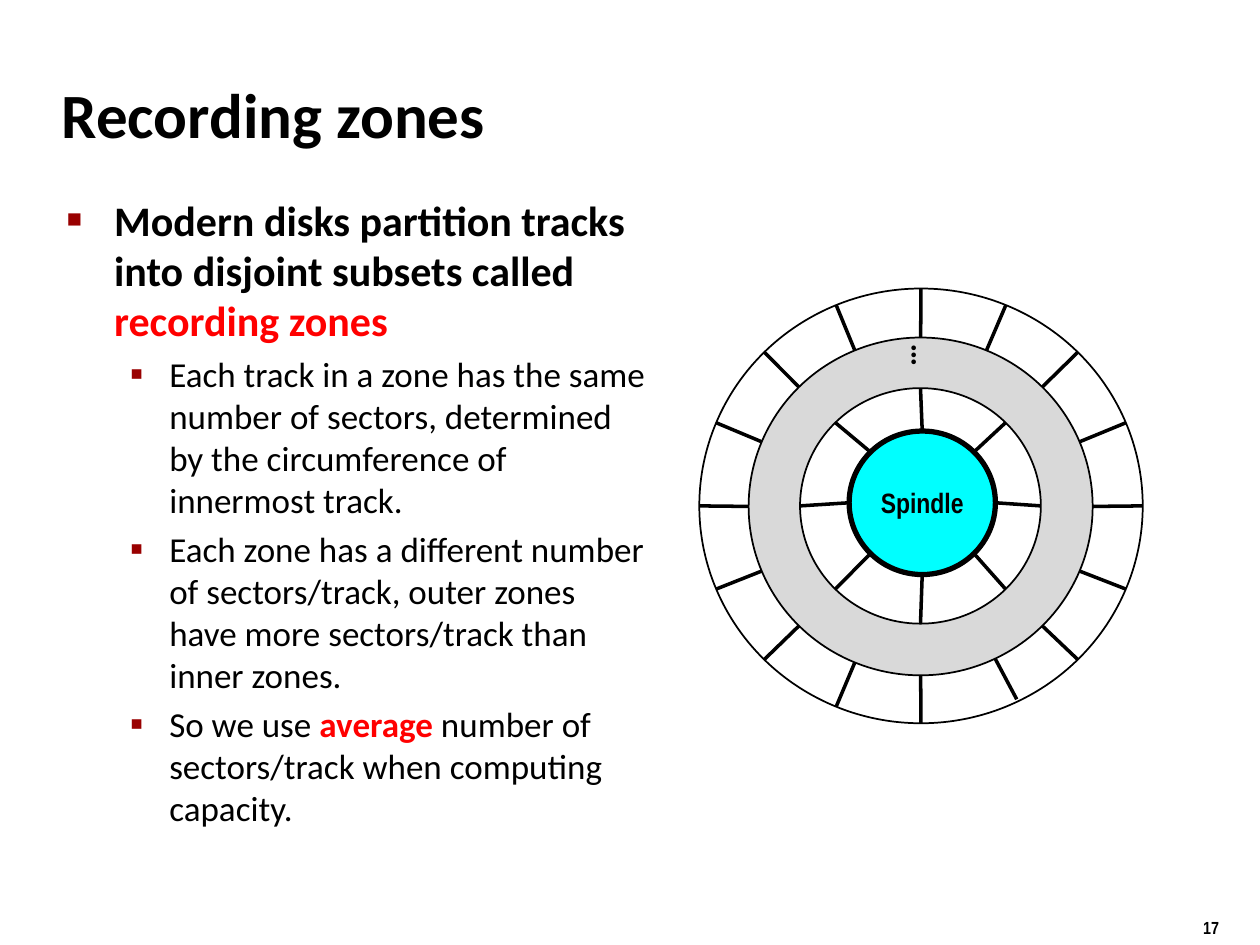
from math import cos, pi, sin

from lxml import etree
from pptx import Presentation
from pptx.dml.color import RGBColor
from pptx.enum.shapes import MSO_CONNECTOR, MSO_SHAPE
from pptx.enum.text import MSO_ANCHOR, MSO_AUTO_SIZE, PP_ALIGN
from pptx.oxml.ns import qn
from pptx.util import Pt

OVAL = MSO_SHAPE.OVAL
STRAIGHT = MSO_CONNECTOR.STRAIGHT
MIDDLE, TOP = MSO_ANCHOR.MIDDLE, MSO_ANCHOR.TOP
LEFT, CENTER = PP_ALIGN.LEFT, PP_ALIGN.CENTER
NO_FIT = MSO_AUTO_SIZE.NONE

BLACK = RGBColor(0x00, 0x00, 0x00)
WHITE = RGBColor(0xFF, 0xFF, 0xFF)
RED = RGBColor(0xFF, 0x00, 0x00)
MAROON = RGBColor(0x99, 0x00, 0x00)
GRAY = RGBColor(0xD9, 0xD9, 0xD9)
CYAN = RGBColor(0x00, 0xFF, 0xFF)

# Ellipses as (centre x, centre y, x radius, y radius)
OUTER_EDGE = (526.3, 289.1, 126.7, 124.2)
MIDDLE_ZONE = (526.1, 289.4, 98.3, 96.5)
INNER_ZONE = (526, 289.1, 68.8, 67.3)
SPINDLE = (527, 287.3, 41.8, 41)

# Per level: left margin, hanging indent, space before, bullet, bullet size %
LEVELS = [(27, 27, 4.8, "■", 60), (58.5, 22.5, 4, "▪", 110)]


def rim_point(ellipse, angle):
    cx, cy, rx, ry = ellipse
    return cx + rx * cos(angle), cy + ry * sin(angle)


class Deck:
    body_font, label_font = "Calibri", "Arial Narrow"

    def __init__(self, prs):
        self.s = prs.slides.add_slide(prs.slide_layouts[1])

    def run(self, p, text, size, font=body_font, color=BLACK, bold=True):
        r = p.add_run()
        r.text = text
        r.font.name, r.font.size = font, Pt(size)
        r.font.bold, r.font.color.rgb = bold, color

    def place(self, sp, left, top, width, height, anchor):
        sp.left, sp.top = Pt(left), Pt(top)
        sp.width, sp.height = Pt(width), Pt(height)
        tf = sp.text_frame
        tf.auto_size, tf.word_wrap = NO_FIT, True
        tf.vertical_anchor = anchor
        return tf

    def title(self, text, *box):
        p = self.place(self.s.shapes.title, *box, MIDDLE).paragraphs[0]
        p.alignment = LEFT
        self.run(p, text, 36)

    def bullets(self, items, *box):
        tf = self.place(self.s.placeholders[1], *box, TOP)
        for i, (level, runs) in enumerate(items):
            p = tf.add_paragraph() if i else tf.paragraphs[0]
            margin, hang, before, char, percent = LEVELS[level]
            p.level, p.space_before = level, Pt(before)
            pPr = p._p.get_or_add_pPr()
            pPr.set("marL", str(Pt(margin)))
            pPr.set("indent", str(-Pt(hang)))
            color = etree.SubElement(pPr, qn("a:buClr"))
            etree.SubElement(color, qn("a:srgbClr"), val=str(MAROON))
            etree.SubElement(pPr, qn("a:buSzPct"), val=str(percent * 1000))
            etree.SubElement(pPr, qn("a:buFont"), typeface="Arial")
            etree.SubElement(pPr, qn("a:buChar"), char=char)
            for text, color, bold in runs:
                self.run(p, text, 20 if level else 24, color=color, bold=bold)

    def oval(self, ellipse, fill=None, weight=1):
        cx, cy, rx, ry = ellipse
        sp = self.s.shapes.add_shape(
            OVAL, Pt(cx - rx), Pt(cy - ry), Pt(2 * rx), Pt(2 * ry))
        sp.shadow.inherit = False
        if fill is None:
            sp.fill.background()
        else:
            sp.fill.solid()
            sp.fill.fore_color.rgb = fill
        sp.line.color.rgb, sp.line.width = BLACK, Pt(weight)
        return sp

    def label(self, sp, text, size):
        tf = sp.text_frame
        tf.word_wrap, tf.vertical_anchor = False, MIDDLE
        p = tf.paragraphs[0]
        p.alignment = CENTER
        self.run(p, text, size, self.label_font)

    def text(self, text, size, font, *box):
        sp = self.s.shapes.add_textbox(0, 0, 0, 0)
        tf = self.place(sp, *box, TOP)
        self.run(tf.paragraphs[0], text, size, font)
        return tf

    def line(self, start, end):
        c = self.s.shapes.add_connector(
            STRAIGHT, *(Pt(v) for v in (*start, *end)))
        c.line.color.rgb, c.line.width = BLACK, Pt(2)
        etree.SubElement(c._element.spPr, qn("a:effectLst"))

    def sectors(self, inner, outer, count, uneven):
        for i in range(count):
            angle = 2 * pi * i / count
            ends = rim_point(inner, angle), rim_point(outer, angle)
            self.line(*uneven.get(i, ends))


def main():
    prs = Presentation()
    prs.slide_width, prs.slide_height = Pt(720), Pt(540)
    deck = Deck(prs)

    # Title, list and page number
    deck.title("Recording zones", 28, 34.6, 598, 60)
    deck.bullets([
        (0, [("Modern disks partition tracks into disjoint subsets called ",
              BLACK, True), ("recording zones", RED, True)]),
        (1, [("Each track in a zone has the same number of sectors, "
              "determined by the circumference of innermost track.",
              BLACK, False)]),
        (1, [("Each zone has a different number of sectors/track, outer "
              "zones have more sectors/track than inner zones.",
              BLACK, False)]),
        (1, [("So we use ", BLACK, False), ("average", RED, True),
             (" number of sectors/track when computing capacity.",
              BLACK, False)]),
    ], 31, 107.3, 347.8, 399)
    deck.text("17", 10, deck.label_font, 680.4, 520.6, 54, 18.7)

    # Disk platter
    deck.oval(MIDDLE_ZONE, GRAY)
    deck.oval(INNER_ZONE, WHITE)
    deck.oval(OUTER_EDGE)
    deck.label(deck.oval(SPINDLE, CYAN, 3), "Spindle", 16)

    # Sector boundaries; one outer boundary sits slightly off the even spacing
    deck.sectors(SPINDLE, INNER_ZONE, 8, {})
    deck.sectors(MIDDLE_ZONE, OUTER_EDGE, 16,
                 {3: ((568.8, 376.6), (581, 399.6))})

    # Vertical ellipsis between the zones
    tf = deck.text("…", 18, deck.body_font, 501.8, 196.6, 36, 20.2)
    tf.word_wrap = False
    tf.margin_left = tf.margin_right = Pt(3.6)
    tf.margin_top = tf.margin_bottom = Pt(7.2)
    tf._txBody.bodyPr.set("vert", "vert270")

    prs.save("out.pptx")


if __name__ == "__main__":
    main()
